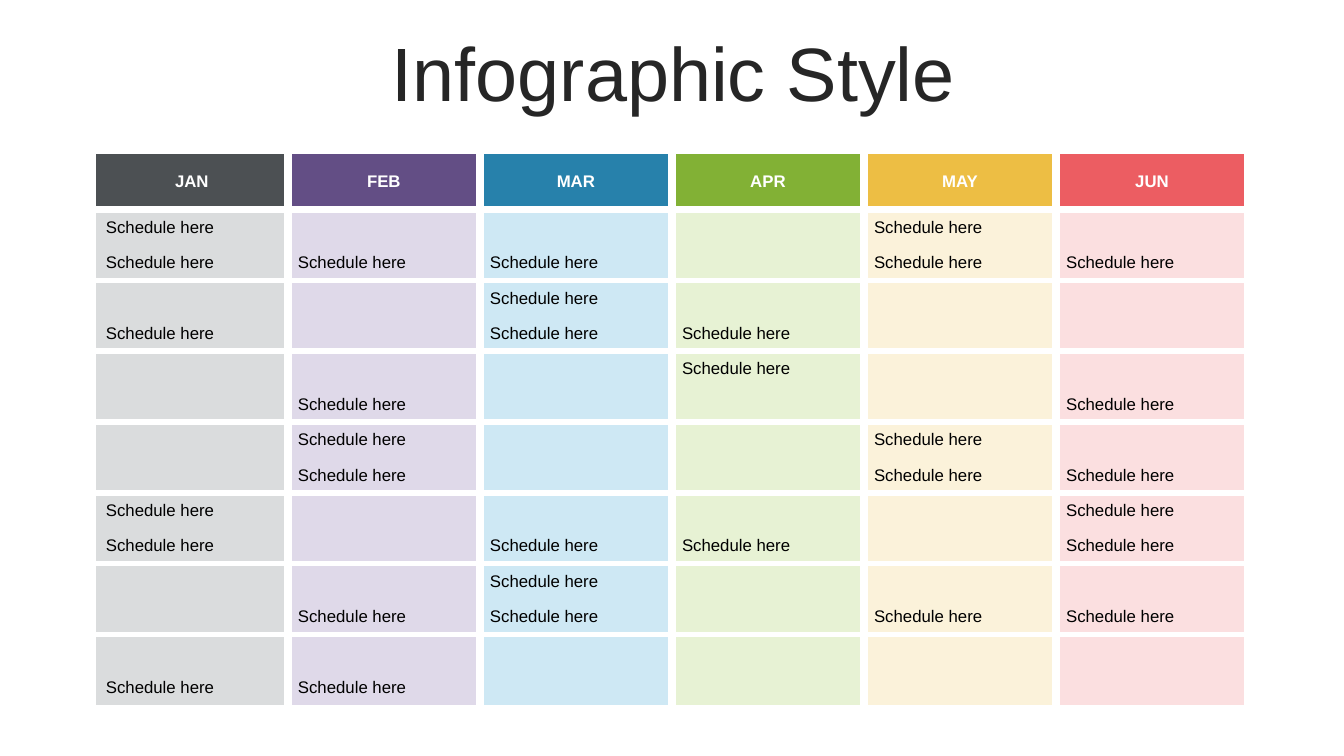
from dataclasses import dataclass

from lxml.etree import SubElement
from pptx import Presentation
from pptx.dml.color import RGBColor
from pptx.enum.text import MSO_ANCHOR, PP_ALIGN
from pptx.oxml.ns import qn
from pptx.slide import Slide
from pptx.table import Table, _Cell
from pptx.text.text import _Paragraph
from pptx.util import Emu, Inches, Pt


@dataclass(frozen=True)
class Theme:
    font: str = "Arial"
    title_size: float = 54
    cell_size: float = 12
    title_color: str = "262626"
    header_text: str = "FFFFFF"
    entry_text: str = "000000"
    border: str = "FFFFFF"
    edge_width: float = 1
    gap_width: float = 6
    week_gap_width: float = 4.5


@dataclass(frozen=True)
class Month:
    name: str
    header_fill: str
    body_fill: str
    entry_rows: tuple[int, ...]


THEME = Theme()
ENTRY = "Schedule here"
ROW_COUNT = 15
MONTHS = (
    Month("JAN", "4C5053", "DADCDD", (1, 2, 4, 9, 10, 14)),
    Month("FEB", "634E85", "DFD9E9", (2, 6, 7, 8, 12, 14)),
    Month("MAR", "2781AB", "CEE8F4", (2, 3, 4, 10, 11, 12)),
    Month("APR", "82B135", "E7F2D4", (4, 5, 10)),
    Month("MAY", "EDBE44", "FBF2DA", (1, 2, 7, 8, 12)),
    Month("JUN", "EC5D62", "FBDFE0", (2, 6, 8, 9, 10, 12)),
)
TABLE_LEFT, TABLE_TOP = Inches(0.95), Inches(1.52)
TABLE_WIDTH, TABLE_HEIGHT = Inches(11.43), Inches(5.48)
HEADER_HEIGHT = Inches(0.56)


def add_run(paragraph: _Paragraph, text: str, size: float, color: str, bold: bool = False) -> None:
    run = paragraph.add_run()
    run.text = text
    run.font.name = THEME.font
    run.font.size = Pt(size)
    run.font.bold = bold
    run.font.color.rgb = RGBColor.from_string(color)


def add_title(slide: Slide, text: str) -> None:
    title = slide.shapes.add_textbox(Inches(0.35), Inches(0.37), Inches(12.66), Inches(0.79))
    frame = title.text_frame
    frame.word_wrap = True
    frame.vertical_anchor = MSO_ANCHOR.MIDDLE
    paragraph = frame.paragraphs[0]
    paragraph.alignment = PP_ALIGN.CENTER
    paragraph.line_spacing = 0.9
    add_run(paragraph, text, THEME.title_size, THEME.title_color)


def horizontal_border(row: int) -> float:
    """Width of the line above a row; the two rows of a week share no line."""
    if row in (0, ROW_COUNT):
        return THEME.edge_width
    if row == 1:
        return THEME.gap_width
    return THEME.week_gap_width if row % 2 else 0


def vertical_border(column: int) -> float:
    """Width of the line to the left of a column."""
    return THEME.gap_width if column else THEME.edge_width


def set_borders(cell: _Cell, row: int, column: int) -> None:
    """Must run before the fill is set, as lines come first in the cell properties."""
    properties = cell._tc.get_or_add_tcPr()
    widths = {
        "a:lnL": vertical_border(column),
        "a:lnR": vertical_border(column + 1),
        "a:lnT": horizontal_border(row),
        "a:lnB": horizontal_border(row + 1),
    }
    for tag, width in widths.items():
        line = SubElement(properties, qn(tag), w=str(Pt(width)))
        if width:
            fill = SubElement(line, qn("a:solidFill"))
            SubElement(fill, qn("a:srgbClr"), val=THEME.border)
        else:
            SubElement(line, qn("a:noFill"))


def fill_cell(cell: _Cell, month: Month, row: int, column: int) -> None:
    is_header = row == 0
    set_borders(cell, row, column)
    cell.fill.solid()
    cell.fill.fore_color.rgb = RGBColor.from_string(
        month.header_fill if is_header else month.body_fill
    )
    cell.vertical_anchor = MSO_ANCHOR.MIDDLE
    cell.margin_top = cell.margin_bottom = 0
    cell.margin_left = cell.margin_right = 0 if is_header else Inches(0.1)
    paragraph = cell.text_frame.paragraphs[0]
    paragraph.font.size = Pt(THEME.cell_size)
    if is_header:
        paragraph.alignment = PP_ALIGN.CENTER
        add_run(paragraph, month.name, THEME.cell_size, THEME.header_text, bold=True)
    elif row in month.entry_rows:
        add_run(paragraph, ENTRY, THEME.cell_size, THEME.entry_text)


def add_schedule(slide: Slide) -> Table:
    table = slide.shapes.add_table(
        ROW_COUNT, len(MONTHS), TABLE_LEFT, TABLE_TOP, TABLE_WIDTH, TABLE_HEIGHT
    ).table
    table.first_row = table.horz_banding = False
    body_height = Emu((TABLE_HEIGHT - HEADER_HEIGHT) // (ROW_COUNT - 1))
    for row, table_row in enumerate(table.rows):
        table_row.height = body_height if row else HEADER_HEIGHT
        for column, month in enumerate(MONTHS):
            fill_cell(table.cell(row, column), month, row, column)
    return table


def main() -> None:
    presentation = Presentation()
    presentation.slide_width = Inches(13.33)
    presentation.slide_height = Inches(7.5)
    slide = presentation.slides.add_slide(presentation.slide_layouts[6])
    add_title(slide, "Infographic Style")
    add_schedule(slide)
    presentation.save("out.pptx")


if __name__ == "__main__":
    main()
